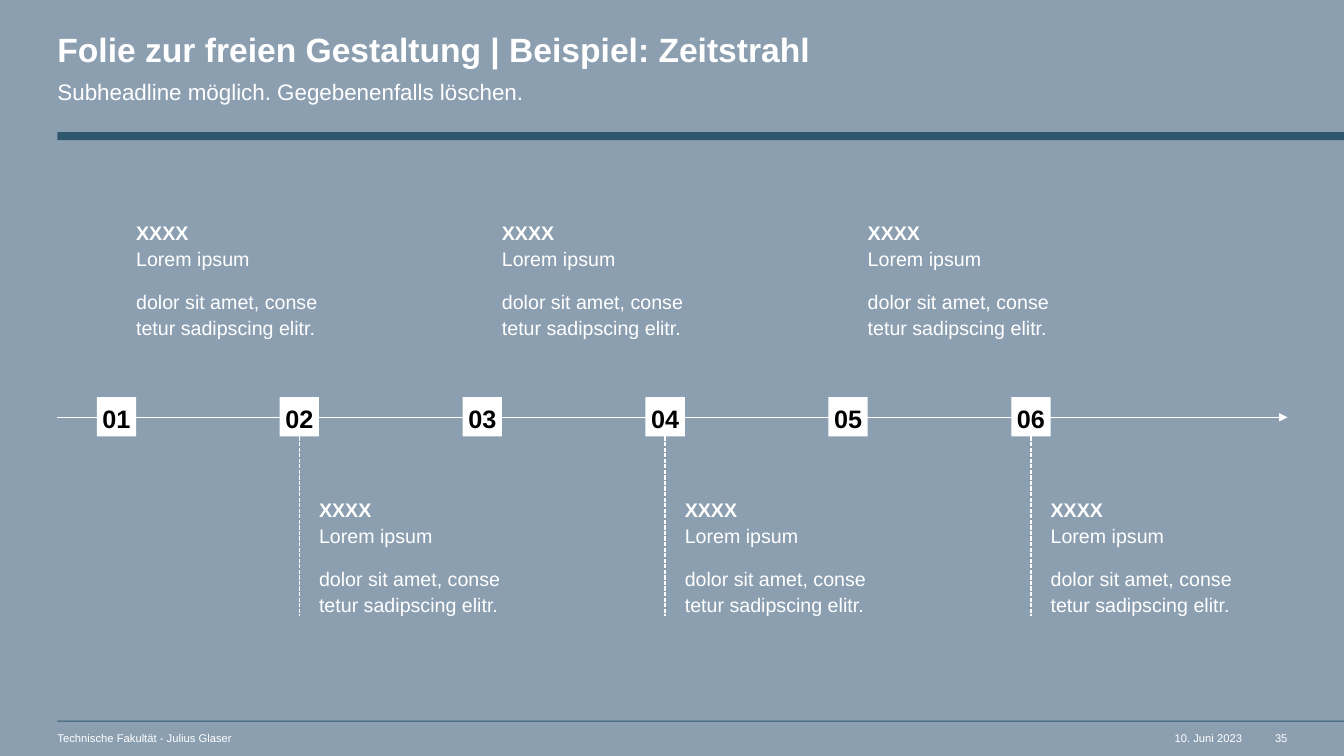
from dataclasses import dataclass

from lxml import etree
from pptx import Presentation
from pptx import util as u
from pptx.dml.color import RGBColor
from pptx.enum import dml, shapes, text
from pptx.oxml.ns import qn

TITLE = "Folie zur freien Gestaltung | Beispiel: Zeitstrahl"
SUBHEADLINE = "Subheadline möglich. Gegebenenfalls löschen."
ENTRY = ("XXXX\vLorem ipsum", "dolor sit amet, conse\vtetur sadipscing elitr.")
MILESTONES = [(number, ENTRY) for number in ("01", "02", "03", "04", "05", "06")]
FOOTER = [  # text, left, width, alignment, wraps
    ("Technische Fakultät - Julius Glaser", 0.57, 5.98, "LEFT", True),
    ("10. Juni 2023", 11.67, 0.65, "RIGHT", False),
    ("35", 12.64, 0.13, "RIGHT", False),
]


@dataclass(frozen=True)
class Theme:
    font: str = "Arial"
    background: str = "8C9FB1"
    rule: str = "2F586E"
    light: str = "FFFFFF"
    dark: str = "000000"
    title: int = 24
    subheadline: int = 16
    number: int = 18
    entry: int = 14
    footer: int = 8


THEME = Theme()
SLIDE_W, SLIDE_H = 13.33, 7.5
MARGIN, RIGHT = 0.57, 12.77
AXIS_Y = 4.14
MARKER = 0.39
FIRST_X, LAST_X = 0.96, 10.03
PITCH = (LAST_X - FIRST_X) / (len(MILESTONES) - 1)
MARKER_Y = 3.94
ENTRY_W, ENTRY_H = 1.95, 1.18
UPPER_Y, LOWER_Y = 2.17, 4.92
STEM_END = 6.11


def color(value):
    return RGBColor.from_string(value)


def inches(*lengths):
    return [u.Inches(length) for length in lengths]


def write(box, lines, size, ink=THEME.light, bold=False, align="LEFT",
          spacing=1.0, after=0, anchor="TOP", wrap=True):
    """Fill a box with one paragraph per line, without insets or bullets."""
    frame = box.text_frame
    frame.margin_left = frame.margin_top = frame.margin_right = frame.margin_bottom = 0
    frame.auto_size = text.MSO_AUTO_SIZE.NONE
    frame.word_wrap = wrap
    frame.vertical_anchor = text.MSO_ANCHOR[anchor]
    frame.text = "\n".join(lines)
    for para in frame.paragraphs:
        para.alignment = text.PP_ALIGN[align]
        para.line_spacing = spacing
        para.space_before, para.space_after = u.Pt(0), u.Pt(after)
        for span in para.runs:
            span.font.name = THEME.font
            span.font.size = u.Pt(size)
            span.font.bold = bold
            span.font.color.rgb = color(ink)
        for line_break in para._p.findall(qn("a:br")):
            etree.SubElement(line_break, qn("a:rPr"), sz=str(size * 100))
    return frame


def add_block(page, left, top, width, height, fill):
    block = page.shapes.add_shape(shapes.MSO_SHAPE.RECTANGLE,
                                  *inches(left, top, width, height))
    block.shadow.inherit = False
    block.fill.solid()
    block.fill.fore_color.rgb = color(fill)
    block.line.fill.background()
    return block


def add_line(page, start, end):
    line = page.shapes.add_connector(shapes.MSO_CONNECTOR.STRAIGHT,
                                     *inches(*start, *end))
    line.line.color.rgb = color(THEME.light)
    line.line.width = u.Pt(1)
    etree.SubElement(line._element.spPr, qn("a:effectLst"))
    return line


def place(box, left, top, width, height):
    box.left, box.top, box.width, box.height = inches(left, top, width, height)


def add_header(page):
    title, subheadline = page.shapes.title, page.placeholders[1]
    place(title, MARGIN, 0.33, 7.49, 0.36)
    write(title, [TITLE], THEME.title, bold=True, spacing=0.9)
    place(subheadline, MARGIN, 0.75, 7.49, 0.27)
    frame = write(subheadline, [SUBHEADLINE], THEME.subheadline, spacing=1.1, after=12)
    properties = frame.paragraphs[0]._p.get_or_add_pPr()
    properties.set("marL", "0")
    properties.set("indent", "0")
    etree.SubElement(properties, qn("a:buNone"))


def add_footer(page):
    for words, left, width, align, wrap in FOOTER:
        box = page.shapes.add_textbox(*inches(left, 7.26, width, 0.13))
        write(box, [words], THEME.footer, align=align, wrap=wrap)


def add_timeline(page):
    axis = add_line(page, (MARGIN, AXIS_Y), (RIGHT, AXIS_Y))
    etree.SubElement(axis.line._get_or_add_ln(), qn("a:tailEnd"), type="triangle")
    for index, (number, entry) in enumerate(MILESTONES):
        left = FIRST_X + index * PITCH
        below = index % 2 == 1
        marker = add_block(page, left, MARKER_Y, MARKER, MARKER, THEME.light)
        write(marker, [number], THEME.number, THEME.dark, bold=True,
              align="CENTER", spacing=1.1, after=12, anchor="MIDDLE")
        box = page.shapes.add_textbox(
            *inches(left + MARKER, LOWER_Y if below else UPPER_Y, ENTRY_W, ENTRY_H))
        frame = write(box, entry, THEME.entry, spacing=1.1, after=12)
        frame.paragraphs[0].runs[0].font.bold = True
        if below:
            middle = left + MARKER / 2
            stem = add_line(page, (middle, MARKER_Y + MARKER), (middle, STEM_END))
            stem.line.dash_style = dml.MSO_LINE.SQUARE_DOT
            stem.begin_connect(marker, 2)


def main():
    deck = Presentation()
    deck.slide_width, deck.slide_height = inches(SLIDE_W, SLIDE_H)
    page = deck.slides.add_slide(deck.slide_layouts[1])
    page.background.fill.solid()
    page.background.fill.fore_color.rgb = color(THEME.background)
    for top, height in ((7.15, 0.01), (1.31, 0.08)):
        add_block(page, MARGIN, top, SLIDE_W - MARGIN, height, THEME.rule)
    add_header(page)
    add_footer(page)
    add_timeline(page)
    deck.save("out.pptx")


if __name__ == "__main__":
    main()
